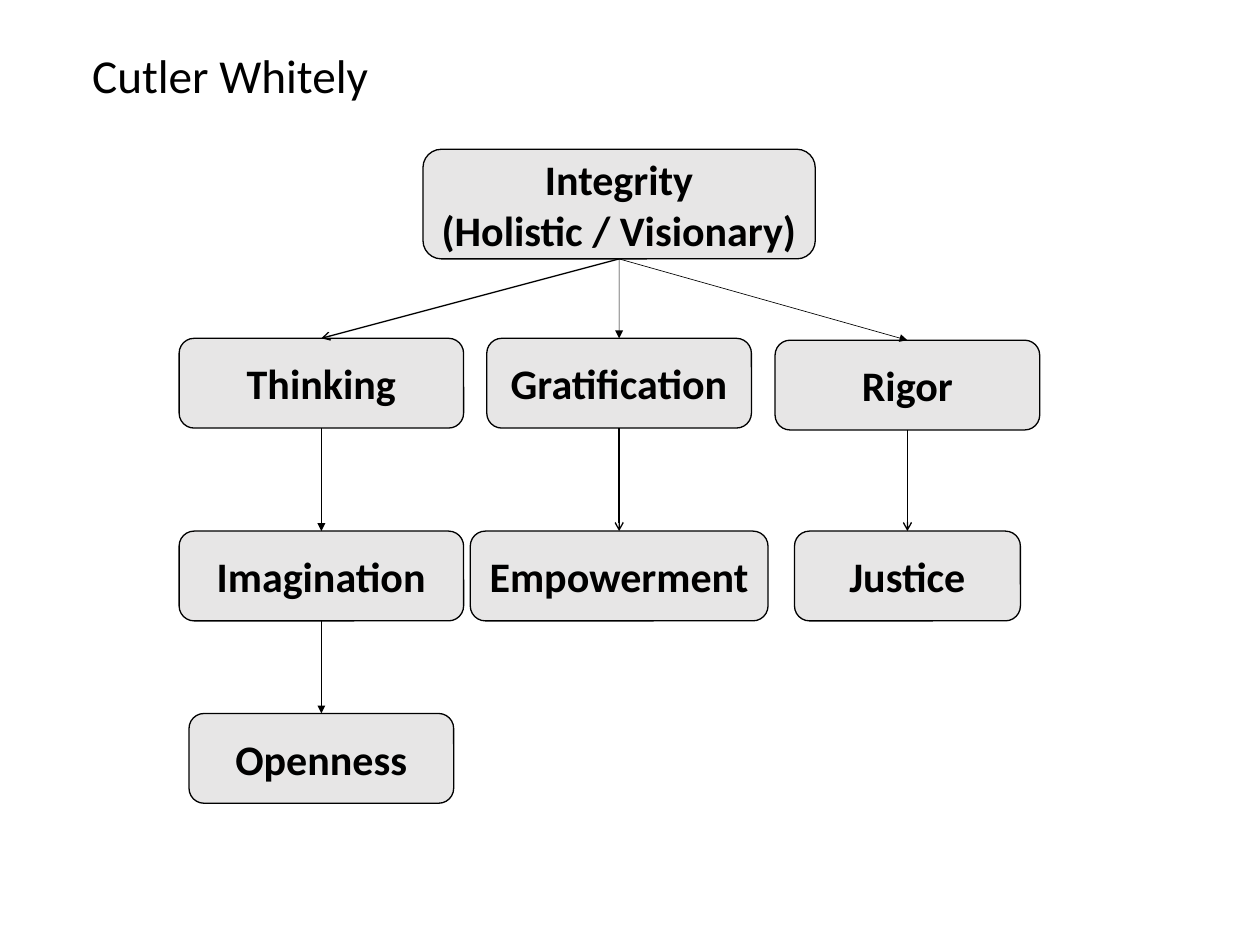
from dataclasses import dataclass

from lxml import etree
from pptx import Presentation
from pptx.dml.color import RGBColor
from pptx.enum import shapes, text
from pptx.oxml import ns
from pptx.shapes.autoshape import Shape
from pptx.slide import Slide
from pptx.util import Inches, Pt

BLACK = RGBColor(0x00, 0x00, 0x00)
GREY = RGBColor(0xE7, 0xE6, 0xE6)
FONT = "Calibri"
LEFT, MIDDLE, RIGHT = 3.4, 6.55, 9.6
TOP_SITE, BOTTOM_SITE = 0, 2


@dataclass(frozen=True)
class Box:
    label: str
    center: float
    top: float
    width: float = 2.8
    height: float = 0.95


@dataclass(frozen=True)
class Arrow:
    source: str
    target: str
    head: str = "triangle"
    weight: float = 0.5


BOXES = [
    Box("Integrity\n(Holistic / Visionary)", MIDDLE, 1.58, 4.15, 1.16),
    Box("Thinking", LEFT, 3.58, 3.01),
    Box("Gratification", MIDDLE, 3.58),
    Box("Rigor", RIGHT, 3.6),
    Box("Imagination", LEFT, 5.62, 3.01),
    Box("Empowerment", MIDDLE, 5.62, 3.15),
    Box("Justice", RIGHT, 5.62, 2.39),
    Box("Openness", LEFT, 7.55),
]

ARROWS = [
    Arrow("Integrity", "Thinking", "arrow", 1),
    Arrow("Integrity", "Gratification"),
    Arrow("Integrity", "Rigor"),
    Arrow("Thinking", "Imagination"),
    Arrow("Gratification", "Empowerment", "arrow", 1),
    Arrow("Rigor", "Justice", "arrow", 1),
    Arrow("Imagination", "Openness"),
]


def write_text(shape: Shape, content: str, size: float, bold: bool) -> None:
    frame = shape.text_frame
    frame.text = content
    frame.word_wrap = True
    frame.vertical_anchor = text.MSO_ANCHOR.MIDDLE
    for paragraph in frame.paragraphs:
        paragraph.alignment = text.PP_ALIGN.CENTER
        paragraph.font.name = FONT
        paragraph.font.size = Pt(size)
        paragraph.font.bold = bold
        paragraph.font.color.rgb = BLACK


def add_title(slide: Slide, content: str) -> None:
    title = slide.shapes.title
    title.left, title.top = Inches(0), Inches(0.43)
    title.width, title.height = Inches(4.87), Inches(0.71)
    write_text(title, content, 36, False)


def add_box(slide: Slide, box: Box) -> Shape:
    shape = slide.shapes.add_shape(
        shapes.MSO_SHAPE.ROUNDED_RECTANGLE,
        Inches(box.center - box.width / 2),
        Inches(box.top),
        Inches(box.width),
        Inches(box.height),
    )
    shape.shadow.inherit = False
    shape.fill.solid()
    shape.fill.fore_color.rgb = GREY
    shape.line.color.rgb = BLACK
    shape.line.width = Pt(1)
    write_text(shape, box.label, 32, True)
    return shape


def add_arrow(slide: Slide, arrow: Arrow, source: Shape, target: Shape) -> None:
    connector = slide.shapes.add_connector(shapes.MSO_CONNECTOR.STRAIGHT, 0, 0, 0, 0)
    connector.begin_connect(source, BOTTOM_SITE)
    connector.end_connect(target, TOP_SITE)
    connector.line.color.rgb = BLACK
    connector.line.width = Pt(arrow.weight)
    properties = connector.element.spPr
    line = properties.find(ns.qn("a:ln"))
    etree.SubElement(line, ns.qn("a:tailEnd"), type=arrow.head)
    etree.SubElement(properties, ns.qn("a:effectLst"))


def main() -> None:
    presentation = Presentation()
    presentation.slide_width = Inches(13.33)
    presentation.slide_height = Inches(10)
    slide = presentation.slides.add_slide(presentation.slide_layouts.get_by_name("Title Only"))
    add_title(slide, "Cutler Whitely")
    drawn = {box.label.split("\n")[0]: add_box(slide, box) for box in BOXES}
    for arrow in ARROWS:
        add_arrow(slide, arrow, drawn[arrow.source], drawn[arrow.target])
    presentation.save("out.pptx")


if __name__ == "__main__":
    main()
